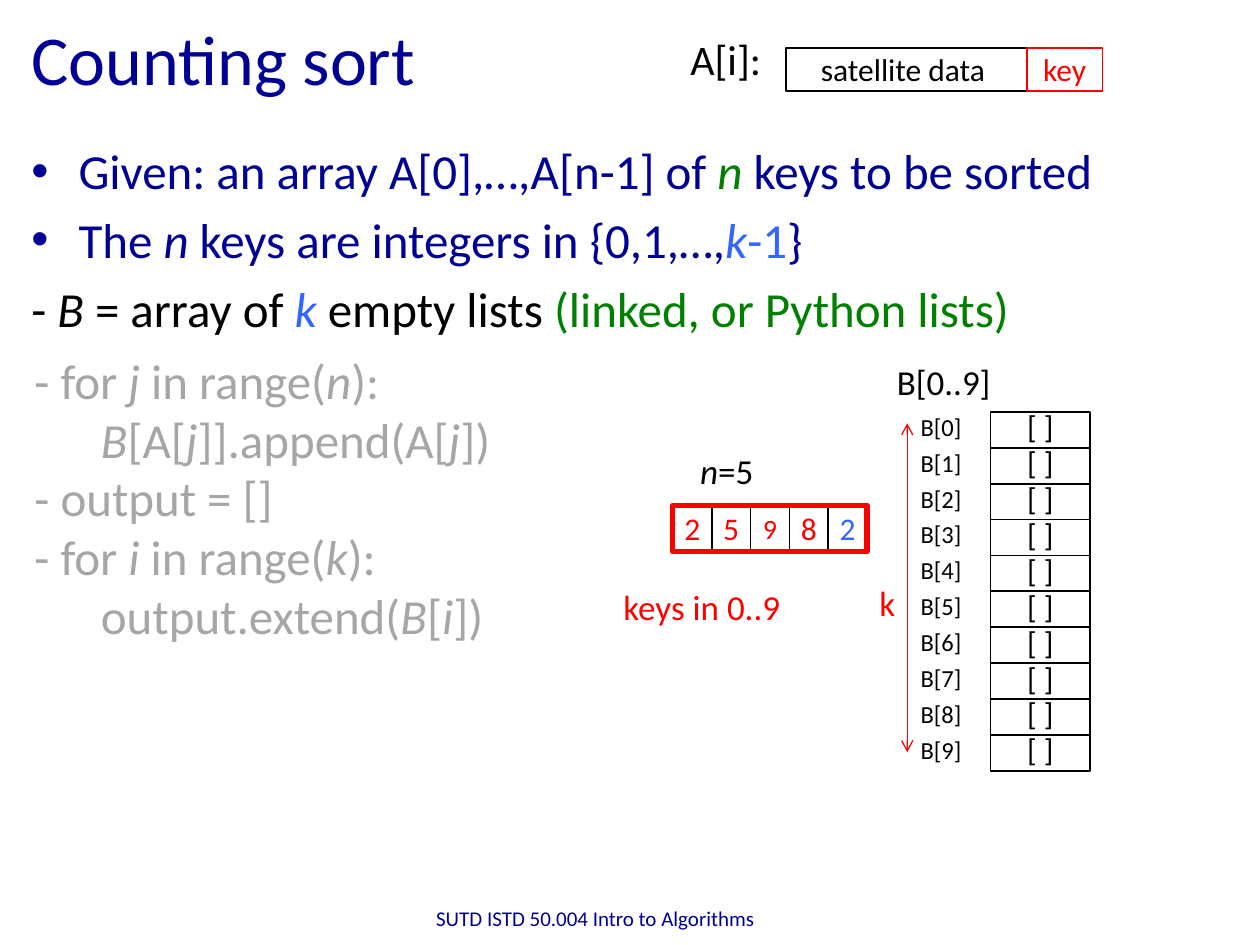
from dataclasses import dataclass
from typing import NamedTuple

from lxml import etree
from pptx import Presentation
from pptx.dml.color import RGBColor
from pptx.enum.shapes import MSO_CONNECTOR, MSO_SHAPE
from pptx.enum.text import MSO_ANCHOR, MSO_AUTO_SIZE, PP_ALIGN
from pptx.oxml.ns import qn
from pptx.util import Pt

RECT, LINE = MSO_SHAPE.RECTANGLE, MSO_CONNECTOR.STRAIGHT
LEFT, CENTER = PP_ALIGN.LEFT, PP_ALIGN.CENTER
TOP, MIDDLE = MSO_ANCHOR.TOP, MSO_ANCHOR.MIDDLE
FIXED, GROW = MSO_AUTO_SIZE.NONE, MSO_AUTO_SIZE.SHAPE_TO_FIT_TEXT


@dataclass(frozen=True)
class Theme:
    font: str = "Calibri"
    navy: str = "000095"
    black: str = "000000"
    red: str = "FF0000"
    green: str = "008000"
    blue: str = "3366FF"
    gray: str = "A6A6A6"
    title: int = 40
    body: int = 28
    head: int = 24
    note: int = 20
    cell: int = 18
    small: int = 16
    label: int = 14
    foot: int = 12


T = Theme()


class Run(NamedTuple):
    text: str
    color: str = T.black
    ital: bool = False


class Para(NamedTuple):
    runs: list[Run]
    left: float = 0
    hang: float = 0
    before: float = 0


class Box(NamedTuple):
    x: float
    y: float
    w: float
    h: float


class Note(NamedTuple):
    box: Box
    runs: list[Run]
    size: int


class Key(NamedTuple):
    text: str
    color: str = T.red
    size: int = T.cell


def points(box: Box) -> list[Pt]:
    return [Pt(v) for v in box]


def write(frame, paras: list[Para], size: int, align=LEFT) -> None:
    """Fill a text frame; a paragraph with a hanging indent gets a bullet."""
    for n, para in enumerate(paras):
        p = frame.add_paragraph() if n else frame.paragraphs[0]
        p.alignment = align
        p.space_before = Pt(para.before)
        props = p._p.get_or_add_pPr()
        props.set("marL", str(Pt(para.left)))
        props.set("indent", str(Pt(-para.hang)))
        if para.hang:
            etree.SubElement(props, qn("a:buFont")).set("typeface", "Arial")
            etree.SubElement(props, qn("a:buChar")).set("char", "•")
        for text, color, ital in para.runs:
            r = p.add_run()
            r.text = text
            r.font.name = T.font
            r.font.size = Pt(size)
            r.font.italic = ital
            r.font.color.rgb = RGBColor.from_string(color)


def add_text(slide, box: Box, paras: list[Para], size: int,
             align=LEFT, anchor=TOP, wrap: bool = True) -> None:
    frame = slide.shapes.add_textbox(*points(box)).text_frame
    frame.word_wrap = wrap
    frame.auto_size = FIXED if wrap else GROW
    frame.vertical_anchor = anchor
    write(frame, paras, size, align)


def add_note(slide, note: Note) -> None:
    add_text(slide, note.box, [Para(note.runs)], note.size, wrap=False)


def add_cell(slide, box: Box, key: Key | None = None, edge: str = T.black,
             width: float = 1, lift: float = 0) -> None:
    """Draw an unfilled box; lift raises its text above the middle."""
    cell = slide.shapes.add_shape(RECT, *points(box))
    cell.shadow.inherit = False
    cell.fill.background()
    cell.line.color.rgb = RGBColor.from_string(edge)
    cell.line.width = Pt(width)
    if key:
        frame = cell.text_frame
        frame.word_wrap = False
        frame.vertical_anchor = MIDDLE
        frame.margin_left = frame.margin_right = frame.margin_top = 0
        frame.margin_bottom = Pt(2 * lift)
        write(frame, [Para([Run(key.text, key.color)])], key.size, CENTER)


def add_arrow(slide, x: float, top: float, end: float) -> None:
    """Draw a vertical arrow with an open head at both ends."""
    arrow = slide.shapes.add_connector(LINE, Pt(x), Pt(top), Pt(x), Pt(end))
    arrow.line.color.rgb = RGBColor.from_string(T.red)
    arrow.line.width = Pt(0.75)
    line = arrow.line._get_or_add_ln()
    for tag in ("a:headEnd", "a:tailEnd"):
        etree.SubElement(line, qn(tag)).set("type", "arrow")
    etree.SubElement(arrow._element.spPr, qn("a:effectLst"))


def gray(*parts: str, left: float = 12.6) -> Para:
    """Make a code line whose every second part is italic."""
    return Para([Run(s, T.gray, n % 2 == 1) for n, s in enumerate(parts) if s], left)


GAP, HANG, DEEP = 5.6, 27, 50.6
FACTS = [
    Para([Run("Given: an array A[0],…,A[n-1] of ", T.navy), Run("n", T.green, True),
          Run(" keys to be sorted", T.navy)], HANG, HANG, GAP),
    Para([Run("The ", T.navy), Run("n", T.navy, True),
          Run(" keys are integers in {0,1,…,", T.navy), Run("k", T.blue, True),
          Run("-1", T.blue), Run("}", T.navy)], HANG, HANG, GAP),
    Para([Run("- "), Run("B", ital=True), Run(" = array of "),
          Run("k", T.blue, True), Run(" empty lists "),
          Run("(linked, or Python lists)", T.green)], before=GAP),
]
CODE = [
    gray("- for ", "j", " in range(", "n", "):"),
    gray("", "B", "[A[", "j", "]].append(A[", "j", "])", left=DEEP),
    gray("- output = []"),
    gray("- for ", "i", " in range(", "k", "):"),
    gray("output.extend(", "B", "[", "i", "])", left=DEEP),
]
NOTES = [
    Note(Box(387.4, 15.8, 55.4, 36), [Run("A[i]:")], T.head),
    Note(Box(505.4, 202.3, 68.4, 31.5), [Run("B[0..9]")], T.note),
    Note(Box(393, 253.4, 46, 31.5), [Run("n", ital=True), Run("=5")], T.note),
    Note(Box(349.2, 331.2, 105.8, 31.5), [Run("keys in 0..9", T.red)], T.note),
    Note(Box(495.4, 329, 23.8, 31.5), [Run("k", T.red)], T.note),
]
KEYS = [Key("2"), Key("5"), Key("9", size=T.small), Key("8"), Key("2", T.blue)]
ROW = Box(384.5, 289.2, 22.2, 25)
LISTS = Box(566, 235.4, 57, 20.5)
COUNT = 10


def main() -> None:
    deck = Presentation()
    deck.slide_width, deck.slide_height = Pt(720), Pt(540)
    slide = deck.slides.add_slide(deck.slide_layouts[5])

    title = slide.shapes.title
    title.left, title.top, title.width, title.height = points(Box(10.8, 2.2, 648, 61.2))
    title.text_frame.auto_size = FIXED
    title.text_frame.vertical_anchor = MIDDLE
    write(title.text_frame, [Para([Run("Counting sort", T.navy)])], T.title)

    add_text(slide, Box(10.8, 77, 687.6, 136.8), FACTS, T.body)
    add_text(slide, Box(0, 196.6, 354.2, 211), CODE, T.body)
    add_text(slide, Box(227.5, 510.5, 228.2, 28.8),
             [Para([Run("SUTD ISTD 50.004 Intro to Algorithms ", T.navy)])],
             T.foot, CENTER, MIDDLE)

    add_cell(slide, Box(449.3, 27.4, 137.5, 24.5), Key("satellite data ", T.black))
    add_cell(slide, Box(586.8, 27.4, 43.2, 24.5), Key("key"), T.red)

    for n, key in enumerate(KEYS):
        add_cell(slide, ROW._replace(x=ROW.x + n * ROW.w), key)
    add_cell(slide, Box(ROW.x, 288.7, len(KEYS) * ROW.w, 26.6), edge=T.red, width=3)

    for n in range(COUNT):
        y = LISTS.y + n * LISTS.h
        add_cell(slide, LISTS._replace(y=y), Key("[ ]", T.black), lift=2)
        add_note(slide, Note(Box(519, y - 3.6, 38.2, 24.5), [Run(f"B[{n}]")], T.label))

    for note in NOTES:
        add_note(slide, note)
    add_arrow(slide, 518.4, 241.9, 429.8)
    deck.save("out.pptx")


if __name__ == "__main__":
    main()
